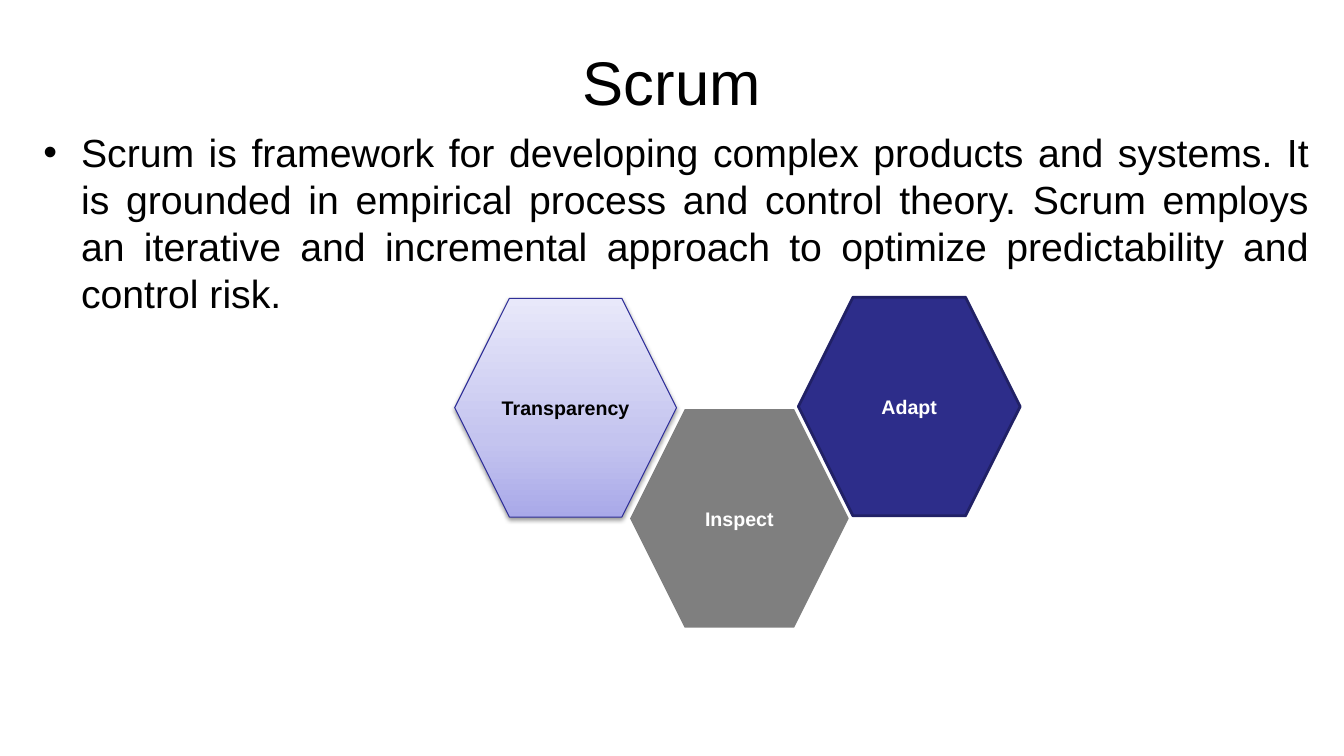
from dataclasses import dataclass

from lxml.etree import SubElement
from pptx import Presentation
from pptx.dml.color import RGBColor
from pptx.enum.shapes import MSO_SHAPE
from pptx.enum.text import MSO_ANCHOR, PP_ALIGN
from pptx.oxml.ns import qn
from pptx.util import Cm, Pt


@dataclass(frozen=True)
class Theme:
    font: str = "Arial"
    title_size: int = 44
    body_size: int = 28
    label_size: int = 14
    dark: str = "000000"
    light: str = "FFFFFF"
    adapt_fill: str = "2D2D8A"
    adapt_line: str = "212166"
    transparency_line: str = "2F2F98"
    transparency_stops: tuple = ((0, "A9A9E9"), (35, "C4C4EF"), (100, "E8E8FA"))


class ScrumSlide:
    def __init__(self, slide, theme):
        self.slide = slide
        self.theme = theme

    def set_text(self, frame, wording, size, color, align, bold=False):
        frame.text = wording
        frame.word_wrap = True
        paragraph = frame.paragraphs[0]
        paragraph.alignment = align
        paragraph.space_before = Pt(0)
        font = paragraph.runs[0].font
        font.name, font.size, font.bold = self.theme.font, Pt(size), bold
        font.color.rgb = RGBColor.from_string(color)
        return paragraph

    def place(self, holder, left, top, width, height):
        holder.left, holder.top = Cm(left), Cm(top)
        holder.width, holder.height = Cm(width), Cm(height)

    def title(self, wording, *box):
        heading = self.slide.shapes.title
        self.place(heading, *box)
        self.set_text(heading.text_frame, wording, self.theme.title_size,
                      self.theme.dark, PP_ALIGN.CENTER)
        heading.text_frame.vertical_anchor = MSO_ANCHOR.MIDDLE

    def bullet(self, wording, *box):
        body = self.slide.placeholders[1]
        self.place(body, *box)
        definition = self.set_text(body.text_frame, wording, self.theme.body_size,
                                   self.theme.dark, PP_ALIGN.JUSTIFY)
        properties = definition._p.get_or_add_pPr()
        properties.set("marL", str(Cm(0.95)))
        properties.set("indent", str(-Cm(0.95)))
        SubElement(properties, qn("a:buFont"), typeface=self.theme.font)
        SubElement(properties, qn("a:buChar"), char="•")

    def hexagon(self, label, left, top, width, color, fill=None, line=None, line_width=0):
        pillar = self.slide.shapes.add_shape(
            MSO_SHAPE.HEXAGON, Cm(left), Cm(top), Cm(width), Cm(5.51))
        pillar.shadow.inherit = False
        if fill:
            pillar.fill.solid()
            pillar.fill.fore_color.rgb = RGBColor.from_string(fill)
        if line:
            pillar.line.color.rgb = RGBColor.from_string(line)
            pillar.line.width = Pt(line_width)
        else:
            pillar.line.fill.background()
        self.set_text(pillar.text_frame, label, self.theme.label_size, color,
                      PP_ALIGN.CENTER, bold=True)
        pillar.text_frame.vertical_anchor = MSO_ANCHOR.MIDDLE
        return pillar

    def fade(self, pillar, percent):
        """Make the solid fill partly transparent."""
        color = pillar._element.spPr.find(qn("a:solidFill"))[0]
        SubElement(color, qn("a:alpha"), val=str(percent * 1000))

    def gradient(self, pillar, stops):
        """Fill from bottom to top with the given (percent, colour) stops."""
        pillar.fill.gradient()
        pillar.fill.gradient_angle = 90
        stop_list = pillar._element.spPr.find(qn("a:gradFill")).find(qn("a:gsLst"))
        stop_list.clear()
        for percent, color in stops:
            stop = SubElement(stop_list, qn("a:gs"), pos=str(percent * 1000))
            SubElement(stop, qn("a:srgbClr"), val=color)

    def drop_shadow(self, pillar):
        effects = pillar._element.spPr.find(qn("a:effectLst"))
        shadow = SubElement(effects, qn("a:outerShdw"), blurRad=str(Pt(3.1)),
                            dist=str(Pt(1.6)), dir="5400000", rotWithShape="0")
        color = SubElement(shadow, qn("a:srgbClr"), val=self.theme.dark)
        SubElement(color, qn("a:alpha"), val="38000")


def main():
    deck = Presentation()
    deck.slide_width, deck.slide_height = Cm(33.87), Cm(19.05)
    theme = Theme()
    scrum = ScrumSlide(deck.slides.add_slide(deck.slide_layouts[1]), theme)

    scrum.title("Scrum", 1.69, 0.46, 30.48, 3.18)
    scrum.bullet(
        "Scrum is framework for developing complex products and systems. "
        "It is grounded in empirical process and control theory. Scrum employs "
        "an iterative and incremental approach to optimize predictability and "
        "control risk.", 0.84, 3.1, 32.39, 12.57)

    scrum.hexagon("Adapt", 20.12, 7.49, 5.59, theme.light,
                  theme.adapt_fill, theme.adapt_line, 2)
    inspect = scrum.hexagon("Inspect", 15.88, 10.31, 5.51, theme.light, theme.dark)
    scrum.fade(inspect, 50)
    transparency = scrum.hexagon("Transparency", 11.46, 7.52, 5.59, theme.dark,
                                 line=theme.transparency_line, line_width=0.75)
    scrum.gradient(transparency, theme.transparency_stops)
    scrum.drop_shadow(transparency)

    deck.save("out.pptx")


if __name__ == "__main__":
    main()
